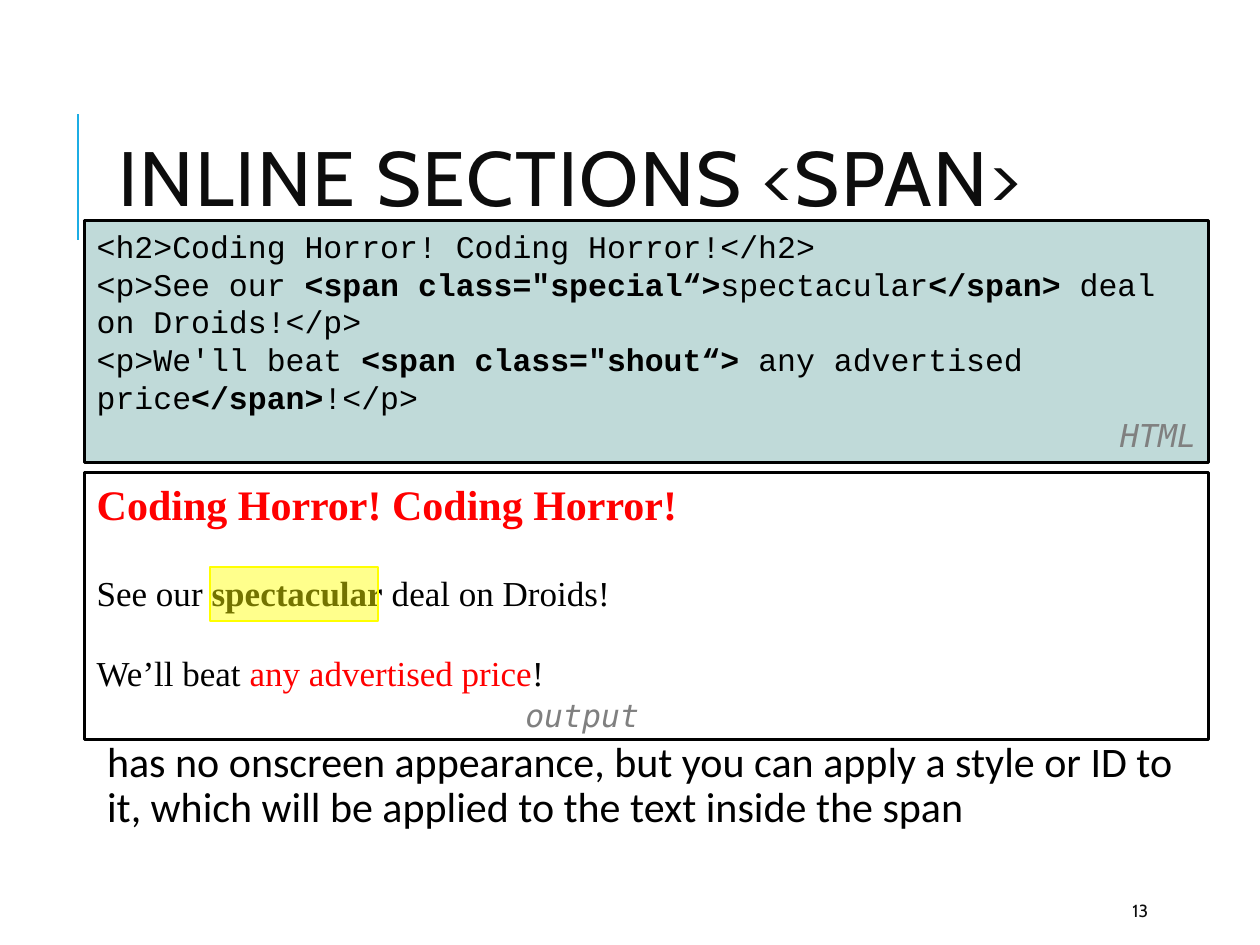
import dataclasses

import lxml.etree
import pptx
import pptx.dml.color
import pptx.enum.shapes
import pptx.enum.text
import pptx.oxml.ns
import pptx.util

Cm = pptx.util.Cm
Pt = pptx.util.Pt
ALIGN = pptx.enum.text.PP_ALIGN
ANCHOR = pptx.enum.text.MSO_ANCHOR
RECTANGLE = pptx.enum.shapes.MSO_SHAPE.RECTANGLE
qn = pptx.oxml.ns.qn


@dataclasses.dataclass(frozen=True)
class Theme:
    accent: str = "1CADE4"
    heading: str = "0D0D0D"
    ink: str = "000000"
    paper: str = "FFFFFF"
    code_fill: str = "C0DAD9"
    alert: str = "FF0000"
    marker: str = "FFFF00"
    muted: str = "808080"
    title_size: int = 44
    large_size: int = 24
    output_size: int = 20
    code_size: int = 18
    number_size: int = 10
    heading_font: str = "Cabin"
    body_font: str = "Calibri"
    code_font: str = "Courier New"
    output_font: str = "Times New Roman"
    label_font: str = "DejaVu Sans Mono"


def rgb(value):
    return pptx.dml.color.RGBColor.from_string(value)


def assign(target, values):
    for name, value in values.items():
        setattr(target, name, value)


class SlideBuilder:
    def __init__(self, theme, slide):
        self.theme = theme
        self.slide = slide

    def font(self, name, size, color, **extra):
        return {"name": name, "size": Pt(size), "color": color, **extra}

    def fill_text(self, frame, paragraphs, **frame_format):
        """Each paragraph is (runs, paragraph format, left indent);
        each run is (text, font format)."""
        assign(frame, {"word_wrap": True,
                       "auto_size": pptx.enum.text.MSO_AUTO_SIZE.NONE,
                       "vertical_anchor": ANCHOR.TOP, **frame_format})
        for index, (runs, layout, indent) in enumerate(paragraphs):
            paragraph = frame.add_paragraph() if index else frame.paragraphs[0]
            assign(paragraph, {"alignment": ALIGN.LEFT, **layout})
            if indent:
                paragraph._p.get_or_add_pPr().set("marL", str(indent))
            for text, style in runs:
                run = paragraph.add_run()
                run.text = text
                assign(run.font, {k: v for k, v in style.items() if k != "color"})
                run.font.color.rgb = rgb(style["color"])

    def title(self, box, text):
        title = self.slide.shapes.title
        assign(title, dict(zip(("left", "top", "width", "height"), box)))
        style = self.font(self.theme.heading_font, self.theme.title_size,
                          self.theme.heading)
        self.fill_text(title.text_frame,
                       [([(text, style)], {"line_spacing": 0.8}, 0)],
                       vertical_anchor=ANCHOR.MIDDLE)
        title.text_frame.paragraphs[0].runs[0]._r.get_or_add_rPr().set("spc", "100")

    def text(self, box, paragraphs, **frame_format):
        self.fill_text(self.slide.shapes.add_textbox(*box).text_frame,
                       paragraphs, **frame_format)

    def panel(self, box, fill, line, weight, paragraphs=(), opacity=None):
        panel = self.slide.shapes.add_shape(RECTANGLE, *box)
        panel.shadow.inherit = False
        panel.fill.solid()
        panel.fill.fore_color.rgb = rgb(fill)
        if opacity is not None:
            color = panel._element.spPr.find(qn("a:solidFill")).find(qn("a:srgbClr"))
            lxml.etree.SubElement(color, qn("a:alpha")).set("val", str(opacity * 1000))
        panel.line.color.rgb = rgb(line)
        panel.line.width = Pt(weight)
        self.fill_text(panel.text_frame, paragraphs)

    def rule(self, x, top, bottom, color, weight):
        rule = self.slide.shapes.add_connector(
            pptx.enum.shapes.MSO_CONNECTOR.STRAIGHT, x, bottom, x, top)
        rule.line.color.rgb = rgb(color)
        rule.line.width = Pt(weight)
        lxml.etree.SubElement(rule._element.spPr, qn("a:effectLst"))


def main():
    theme = Theme()
    deck = pptx.Presentation()
    deck.slide_width, deck.slide_height = Cm(25.4), Cm(19.05)
    builder = SlideBuilder(theme, deck.slides.add_slide(deck.slide_layouts[5]))

    # Text styles
    code = builder.font(theme.code_font, theme.code_size, theme.ink)
    tag = {**code, "bold": True}
    output = builder.font(theme.output_font, theme.output_size, theme.ink)
    special = {**output, "bold": True}
    shout = {**output, "color": theme.alert}
    heading = {**special, "size": Pt(theme.large_size), "color": theme.alert}
    label = builder.font(theme.label_font, theme.code_size, theme.muted, italic=True)
    explanation = builder.font(theme.body_font, theme.large_size, theme.ink)
    number = builder.font(theme.heading_font, theme.number_size, theme.heading)

    # Title with its accent rule
    builder.rule(Cm(1.57), Cm(2.29), Cm(4.83), theme.accent, 1.5)
    builder.title((Cm(2.13), Cm(1.63), Cm(20.24), Cm(4.17)), "INLINE SECTIONS <SPAN>")

    # Explanation and slide number
    inset = Cm(0.13)
    builder.text(
        (Cm(1.78), Cm(14.81), Cm(22.66), Cm(4.24)),
        [([("has no onscreen appearance, but you can apply a style or ID to it, "
            "which will be applied to the text inside the span", explanation)],
          {"line_spacing": 0.9}, Cm(0.25))],
        margin_left=inset, margin_right=inset, margin_top=inset, margin_bottom=inset)
    builder.text((Cm(22.58), Cm(17.98), Cm(2.03), Cm(0.76)),
                 [([("13", number)], {}, 0)], vertical_anchor=ANCHOR.MIDDLE)

    # Rendered output with the highlighted word
    panel_left, panel_width = Cm(1.7), Cm(22.66)
    builder.panel(
        (panel_left, Cm(9.53), panel_width, Cm(5.38)), theme.paper, theme.ink, 1.5,
        [([("Coding Horror! Coding Horror!", heading)], {}, 0),
         ([("See our ", output), ("spectacular", special),
           (" deal on Droids!", output)], {"space_before": Pt(24)}, 0),
         ([("We’ll beat ", output), ("any advertised price", shout),
           ("!", output)], {"space_before": Pt(22)}, 0),
         ([("output", label)], {"space_before": Pt(1)}, Cm(8.64))])
    builder.panel((Cm(4.24), Cm(11.43), Cm(3.38), Cm(1.09)),
                  theme.marker, theme.marker, 1.25, opacity=45)

    # HTML source
    builder.panel(
        (panel_left, Cm(4.45), panel_width, Cm(4.88)), theme.code_fill, theme.ink, 1.5,
        [([("<h2>Coding Horror! Coding Horror!</h2>", code)], {}, 0),
         ([("<p>See our ", code), ('<span class="special“>', tag),
           ("spectacular", code), ("</span> ", tag),
           ("deal on Droids!</p>", code)], {}, 0),
         ([("<p>We'll beat ", code), ('<span class="shout“> ', tag),
           ("any advertised price", code), ("</span>", tag),
           ("!</p>", code)], {}, 0),
         ([("HTML", label)], {"alignment": ALIGN.RIGHT}, 0)])

    deck.save("out.pptx")


if __name__ == "__main__":
    main()
